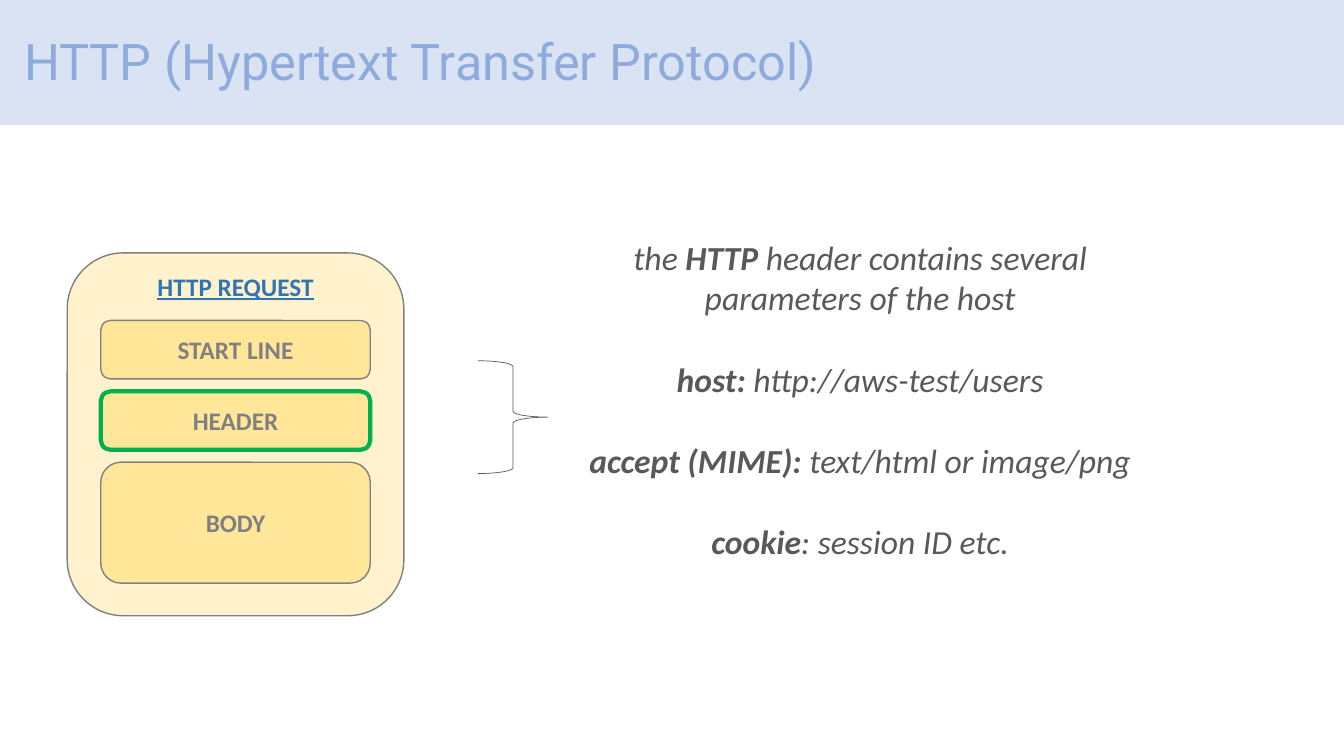
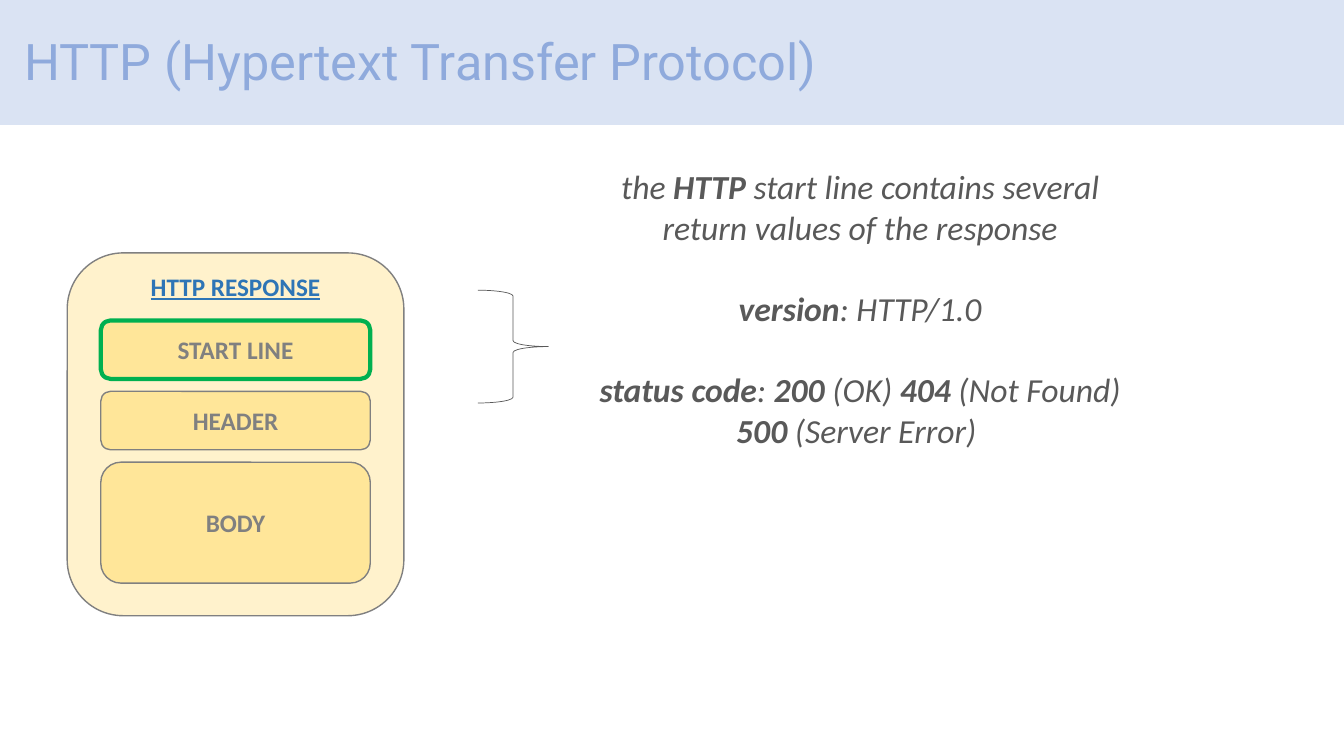
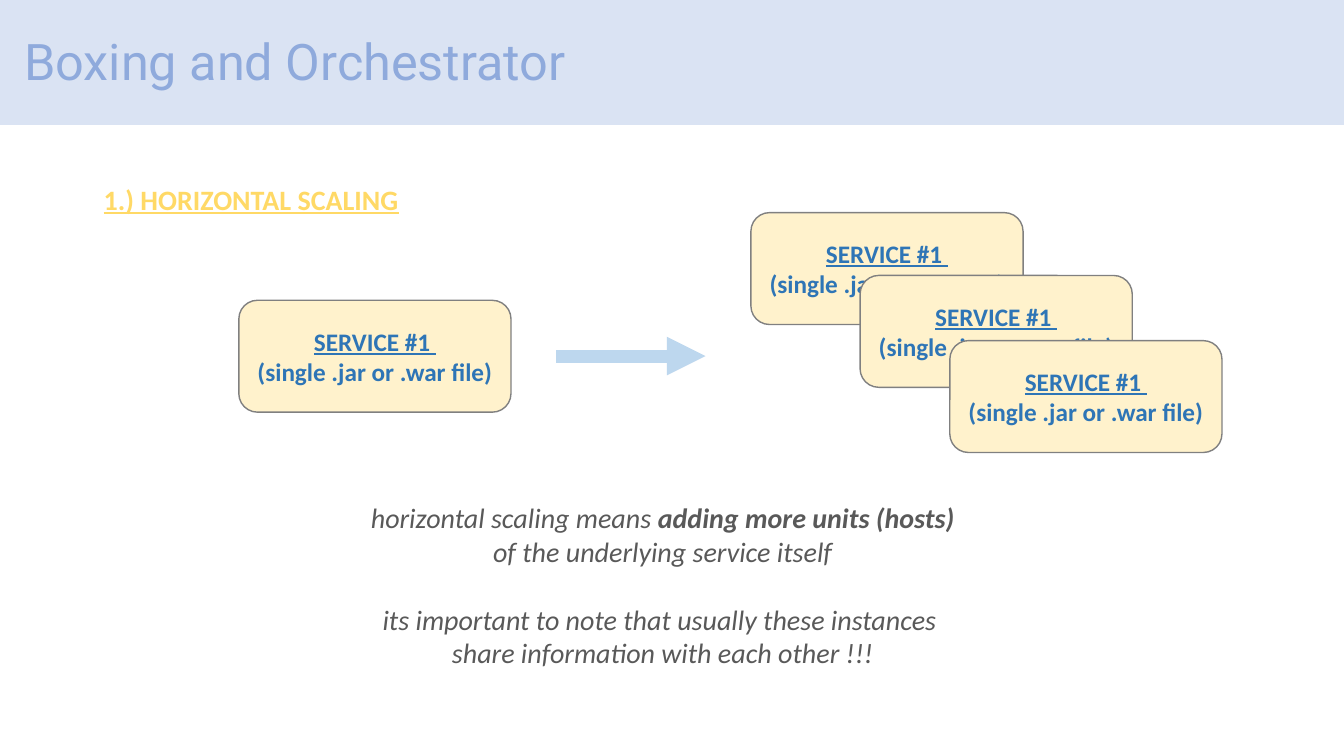
from pptx import Presentation
from pptx.dml.color import RGBColor
from pptx.enum.shapes import MSO_CONNECTOR, MSO_SHAPE
from pptx.enum.text import MSO_ANCHOR as ANCHOR, MSO_AUTO_SIZE as FIT, PP_ALIGN as ALIGN
from pptx.oxml.ns import qn
from pptx.util import Inches, Pt
from lxml.etree import SubElement

WIDTH, HEIGHT = 13.33, 7.5
UNIT = WIDTH / 40  # the slide is 40 square grid units wide
LINE_HEIGHT = 1.22  # single line spacing of the body font

COLORS = {
    "white": "FFFFFF", "band": "DAE3F3", "title": "8FAADC",
    "card": "FFF2CC", "part": "FFE699", "gray": "808080",
    "green": "00B050", "blue": "2E75B6", "text": "595959",
    "gold": "FFD966", "arrow": "BDD7EE",
}

# Text styles; "mark" is the attribute switched on between asterisks
TITLE = {"font": {"name": "Roboto", "size": Pt(36)}, "color": "title"}
PART = {"font": {"name": "Calibri", "size": Pt(18), "bold": True}, "color": "gray"}
CARD = {**PART, "color": "blue", "mark": "underline"}
SECTION = {"font": {**PART["font"], "size": Pt(20), "underline": True}, "color": "gold"}
NOTE = {"font": {"name": "Calibri", "size": Pt(24), "italic": True},
        "color": "text", "mark": "bold"}
SMALL_NOTE = {**NOTE, "font": {**NOTE["font"], "size": Pt(20)}}


def grid(*units):
    return [Inches(u * UNIT) for u in units]


def rgb(name):
    return RGBColor.from_string(COLORS[name])


# Text
def write(sp, blocks, style, align=ALIGN.CENTER, anchor=ANCHOR.TOP, wrap=True):
    """Write blocks of lines, with one line of space between blocks."""
    tf = sp.text_frame
    for key, value in {"word_wrap": wrap, "vertical_anchor": anchor,
                       "auto_size": FIT.NONE}.items():
        setattr(tf, key, value)
    p = None
    for b, block in enumerate(blocks):
        for i, line in enumerate(block):
            p = tf.add_paragraph() if p is not None else tf.paragraphs[0]
            p.alignment = align
            if b and not i:
                p.space_before = Pt(round(style["font"]["size"].pt * LINE_HEIGHT, 1))
            for n, text in enumerate(line.split("*")):
                if text:
                    add_run(p, text, style, marked=n % 2 == 1)


def add_run(p, text, style, marked):
    r = p.add_run()
    r.text = text
    font = dict(style["font"])
    if marked:
        font[style["mark"]] = True
    for key, value in font.items():
        setattr(r.font, key, value)
    r.font.color.rgb = rgb(style["color"])


def add_text(slide, box, blocks, style, **layout):
    write(slide.shapes.add_textbox(*grid(*box)), blocks, style, **layout)


# Shapes
def add_shape(slide, kind, box, fill, line, weight=1):
    sp = slide.shapes.add_shape(kind, *grid(*box))
    sp.shadow.inherit = False
    if fill:
        sp.fill.solid()
        sp.fill.fore_color.rgb = rgb(fill)
    else:
        sp.fill.background()
    sp.line.color.rgb = rgb(line)
    sp.line.width = Pt(weight)
    return sp


def add_arrow(slide, start, end):
    cn = slide.shapes.add_connector(MSO_CONNECTOR.STRAIGHT, *grid(*start, *end))
    cn.line.color.rgb = rgb("arrow")
    cn.line.width = Pt(9.25)
    SubElement(cn.line._get_or_add_ln(), qn("a:tailEnd"), type="triangle")
    SubElement(cn.element.spPr, qn("a:effectLst"))


def add_slide(prs, title):
    slide = prs.slides.add_slide(prs.slide_layouts[5])
    sp = slide.shapes.title
    sp.left, sp.top, sp.width, sp.height = grid(0.42, -0.27, 34.5, 4.35)
    write(sp, [[title]], TITLE, align=ALIGN.LEFT, anchor=ANCHOR.MIDDLE)
    sp.text_frame.paragraphs[0].line_spacing = 0.9
    band = add_shape(slide, MSO_SHAPE.RECTANGLE, (-0.42, -0.12, 40.7, 3.87), "band", "white")
    sp.element.addprevious(band.element)
    return slide


# Message diagram: a card of stacked parts, one of them highlighted
def add_message(slide, heading, active):
    left, top, width = 2, 7.53, 10.02
    add_shape(slide, MSO_SHAPE.ROUNDED_RECTANGLE, (left, top, width, 10.8), "card", "gray")
    add_text(slide, (left, top + 0.39, width, 1.2), [[f"*{heading}*"]], CARD)
    y = top + 2.01
    for name, height in (("START LINE", 1.74), ("HEADER", 1.74), ("BODY", 3.6)):
        line, weight = ("green", 3) if name == active else ("gray", 1)
        sp = add_shape(slide, MSO_SHAPE.ROUNDED_RECTANGLE,
                       (left + 1, y, width - 2, height), "part", line, weight)
        write(sp, [[name]], PART, anchor=ANCHOR.MIDDLE)
        y += height + 0.37


def add_message_slide(prs, heading, active, top, blocks):
    slide = add_slide(prs, "HTTP (Hypertext Transfer Protocol)")
    add_message(slide, heading, active)
    add_shape(slide, MSO_SHAPE.RIGHT_BRACE, (14.22, top + 3.84, 2.1, 3.36), None, "text", 0.5)
    add_text(slide, (16.6, top, 18, 11), blocks, NOTE)


def add_service(slide, left, top):
    sp = add_shape(slide, MSO_SHAPE.ROUNDED_RECTANGLE, (left, top, 8.1, 3.33), "card", "gray")
    write(sp, [["*SERVICE #1 *", "(single .jar or .war file)"]], CARD,
          anchor=ANCHOR.MIDDLE, wrap=False)


def add_scaling_slide(prs):
    slide = add_slide(prs, "Boxing and Orchestrator")
    add_text(slide, (2.79, 5.28, 10, 1.32), [["1.) HORIZONTAL SCALING"]], SECTION,
             align=ALIGN.LEFT)
    add_text(slide, (10.14, 14.76, 19.17, 5.34), [
        ["horizontal scaling means *adding more units (hosts)*",
         "of the underlying service itself"],
        ["its important to note that usually these instances ",
         "share information with each other !!!"],
    ], SMALL_NOTE)
    for left, top in ((7.11, 8.94), (22.35, 6.33), (25.6, 8.2), (28.27, 10.14)):
        add_service(slide, left, top)
    add_arrow(slide, (16.56, 10.6), (21, 10.6))


def main():
    prs = Presentation()
    prs.slide_width, prs.slide_height = Inches(WIDTH), Inches(HEIGHT)
    add_message_slide(prs, "HTTP REQUEST", "HEADER", 6.9, [
        ["the *HTTP* header contains several", "parameters of the host"],
        ["*host:* http://aws-test/users"],
        ["*accept (MIME):* text/html or image/png"],
        ["*cookie*: session ID etc."],
    ])
    add_message_slide(prs, "HTTP RESPONSE", "START LINE", 4.8, [
        ["the *HTTP* start line contains several", "return values of the response"],
        ["*version*: HTTP/1.0"],
        ["*status code*: *200* (OK) *404* (Not Found)", "*500* (Server Error) "],
    ])
    add_scaling_slide(prs)
    prs.save("out.pptx")


if __name__ == "__main__":
    main()
